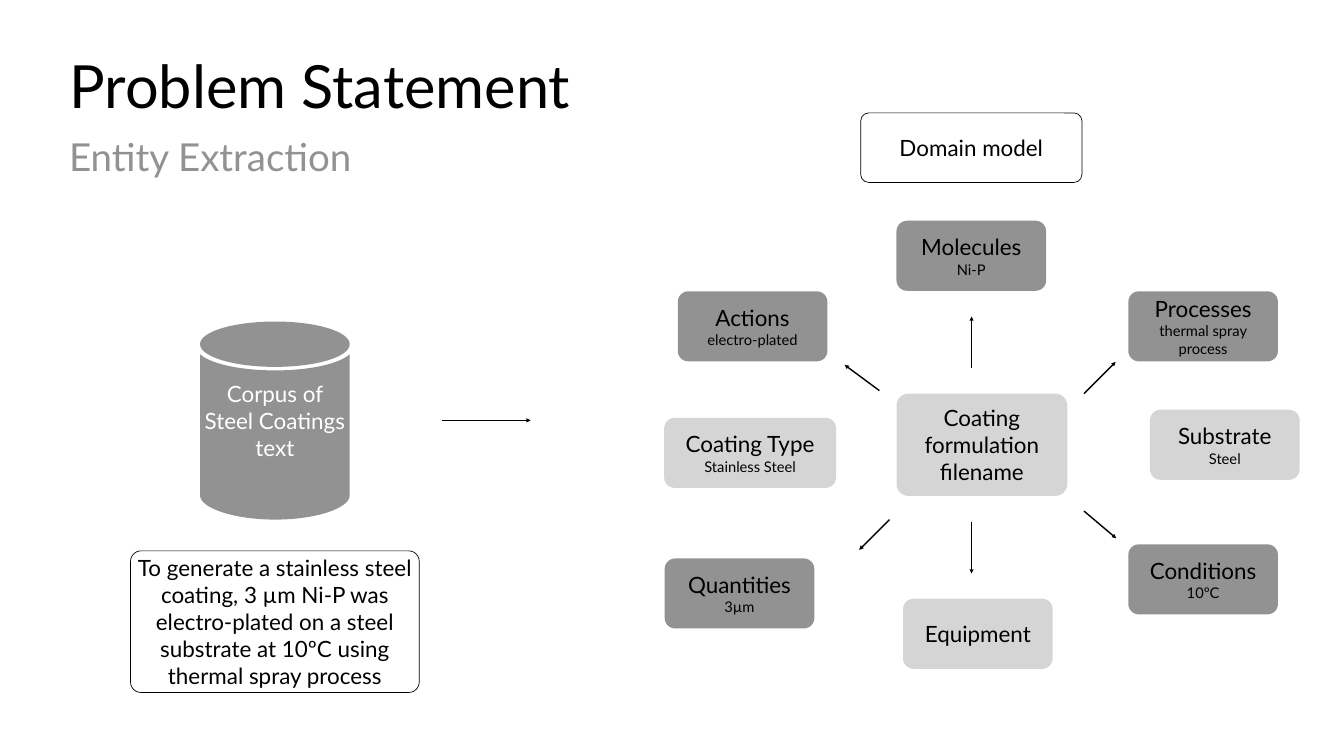
from dataclasses import dataclass

from lxml.etree import SubElement
from pptx import Presentation
from pptx.dml.color import RGBColor
from pptx.enum.shapes import MSO_CONNECTOR as Connector, MSO_SHAPE as Shape
from pptx.enum.text import MSO_ANCHOR as Anchor, PP_ALIGN as Align
from pptx.oxml.ns import qn
from pptx.util import Inches, Pt


@dataclass(frozen=True)
class Theme:
    font: str = "Lato"
    black: RGBColor = RGBColor(0x00, 0x00, 0x00)
    white: RGBColor = RGBColor(0xFF, 0xFF, 0xFF)
    dark: RGBColor = RGBColor(0x92, 0x92, 0x92)
    light: RGBColor = RGBColor(0xD5, 0xD5, 0xD5)
    title: int = 85
    subtitle: int = 55
    label: int = 32
    example: int = 21


THEME = Theme()
NODE_WIDTH, NODE_HEIGHT = 2.97, 1.39
NODES = [
    (22.39, 5.78, NODE_WIDTH, THEME.dark, "Processes", "thermal spray process"),
    (13.19, 11.08, NODE_WIDTH, THEME.dark, "Quantities", "3µm"),
    (17.79, 4.38, NODE_WIDTH, THEME.dark, "Molecules", "Ni-P"),
    (13.45, 5.78, NODE_WIDTH, THEME.dark, "Actions", "electro-plated"),
    (22.39, 10.8, NODE_WIDTH, THEME.dark, "Conditions", "10ºC"),
    (13.18, 8.29, 3.41, THEME.light, "Coating Type", "Stainless Steel"),
    (22.82, 8.13, NODE_WIDTH, THEME.light, "Substrate", "Steel"),
    (17.92, 11.88, NODE_WIDTH, THEME.light, "Equipment", None),
]
ARROWS = [
    (8.77, 8.34, 10.53, 8.34),
    (19.28, 7.3, 19.28, 6.28),
    (21.51, 7.81, 22.14, 7.18),
    (17.45, 7.75, 16.76, 7.24),
    (21.51, 10.14, 22.15, 10.68),
    (17.65, 10.31, 17.05, 10.91),
    (19.28, 10.35, 19.28, 11.38),
]
LID = [
    [(5.46, 6.38)],
    [(4.64, 6.38), (3.97, 6.58), (3.97, 6.83)],
    [(3.97, 7.08), (4.64, 7.28), (5.46, 7.28)],
    [(6.28, 7.28), (6.94, 7.08), (6.94, 6.83)],
    [(6.94, 6.58), (6.28, 6.38), (5.46, 6.38)],
]
BODY = [
    [(3.97, 7.03)],
    [(3.97, 9.83)],
    [(3.97, 10.08), (4.64, 10.31), (5.46, 10.31)],
    [(6.28, 10.31), (6.94, 10.08), (6.94, 9.83)],
    [(6.94, 7.03)],
    [(6.73, 7.22), (6.15, 7.35), (5.46, 7.35)],
    [(4.77, 7.35), (4.18, 7.22), (3.97, 7.03)],
]


def write_text(shape, lines, color, align=Align.CENTER, anchor=Anchor.MIDDLE, margin=0.06):
    frame = shape.text_frame
    frame.word_wrap = True
    frame.vertical_anchor = anchor
    frame.margin_left = frame.margin_right = Inches(margin)
    frame.margin_top = frame.margin_bottom = Inches(margin)
    for index, (text, size) in enumerate(lines):
        paragraph = frame.add_paragraph() if index else frame.paragraphs[0]
        paragraph.text = text
        paragraph.alignment = align
        paragraph.font.name = THEME.font
        paragraph.font.size = Pt(size)
        paragraph.font.color.rgb = color
    return frame


def add_heading(slide, top, height, text, size, color, margin):
    box = slide.shapes.add_textbox(Inches(1.32), Inches(top), Inches(24.03), Inches(height))
    return write_text(box, [(text, size)], color, Align.LEFT, Anchor.TOP, margin)


def paint(shape, fill, outline=None):
    shape.shadow.inherit = False
    shape.fill.solid()
    shape.fill.fore_color.rgb = fill
    if outline is None:
        shape.line.fill.background()
    else:
        shape.line.color.rgb = outline
        shape.line.width = Pt(1)


def add_box(slide, left, top, width, height, lines, fill, rounding=0.15, outline=None):
    box = slide.shapes.add_shape(
        Shape.ROUNDED_RECTANGLE, Inches(left), Inches(top), Inches(width), Inches(height)
    )
    box.adjustments[0] = rounding
    paint(box, fill, outline)
    write_text(box, lines, THEME.black)


def add_node(slide, left, top, width, fill, name, example):
    lines = [(name, THEME.label)]
    if example:
        lines.append((example, THEME.example))
    add_box(slide, left, top, width, NODE_HEIGHT, lines, fill)


def add_arrow(slide, *ends):
    arrow = slide.shapes.add_connector(Connector.STRAIGHT, *map(Inches, ends))
    arrow.line.color.rgb = THEME.black
    arrow.line.width = Pt(2)
    SubElement(arrow.line._get_or_add_ln(), qn("a:tailEnd"), type="triangle")
    SubElement(arrow._element.spPr, qn("a:effectLst"))


def to_emu(points):
    return [(Inches(x), Inches(y)) for x, y in points]


def bend_segments(shape, segments):
    steps = iter(list(shape._element.iter(qn("a:lnTo"))))
    for segment in segments:
        first, *others = [next(steps) for _ in segment]
        if others:
            first.tag = qn("a:cubicBezTo")
        for step in others:
            first.append(step[0])
            step.getparent().remove(step)


def add_cylinder(slide, text):
    builder = slide.shapes.build_freeform(*to_emu(LID[0])[0], scale=1.0)
    for contour in (LID, BODY):
        if contour is BODY:
            builder.move_to(*to_emu(BODY[0])[0])
        points = [point for segment in contour[1:] for point in segment]
        builder.add_line_segments(to_emu(points), close=True)
    cylinder = builder.convert_to_shape()
    bend_segments(cylinder, LID[1:] + BODY[1:])
    paint(cylinder, THEME.dark)
    write_text(cylinder, [(text, THEME.label)], THEME.white)


def main():
    presentation = Presentation()
    presentation.slide_width = Inches(26.67)
    presentation.slide_height = Inches(15)
    slide = presentation.slides.add_slide(presentation.slide_layouts[6])

    title = add_heading(slide, 1.18, 1.57, "Problem Statement", THEME.title, THEME.black, 0.06)
    title.paragraphs[0].line_spacing = 0.8
    add_heading(slide, 2.59, 1.02, "Entity Extraction", THEME.subtitle, THEME.dark, 0.05)

    add_cylinder(slide, "Corpus of Steel Coatings text")
    formulation = [("Coating formulation filename", THEME.label)]
    add_box(slide, 17.79, 7.81, 3.39, 2.03, formulation, THEME.light, 0.117)
    for node in NODES:
        add_node(slide, *node)
    for ends in ARROWS:
        add_arrow(slide, *ends)

    sentence = (
        "To generate a stainless steel coating, 3 µm Ni-P was electro-plated "
        "on a steel substrate at 10ºC using thermal spray process"
    )
    add_box(slide, 2.59, 10.93, 5.73, 2.81, [(sentence, THEME.label)],
            THEME.white, 0.074, THEME.black)
    add_box(slide, 17.08, 2.24, 4.39, 1.38, [("Domain model", THEME.label)],
            THEME.white, 0.116, THEME.black)

    presentation.save("out.pptx")


if __name__ == "__main__":
    main()
